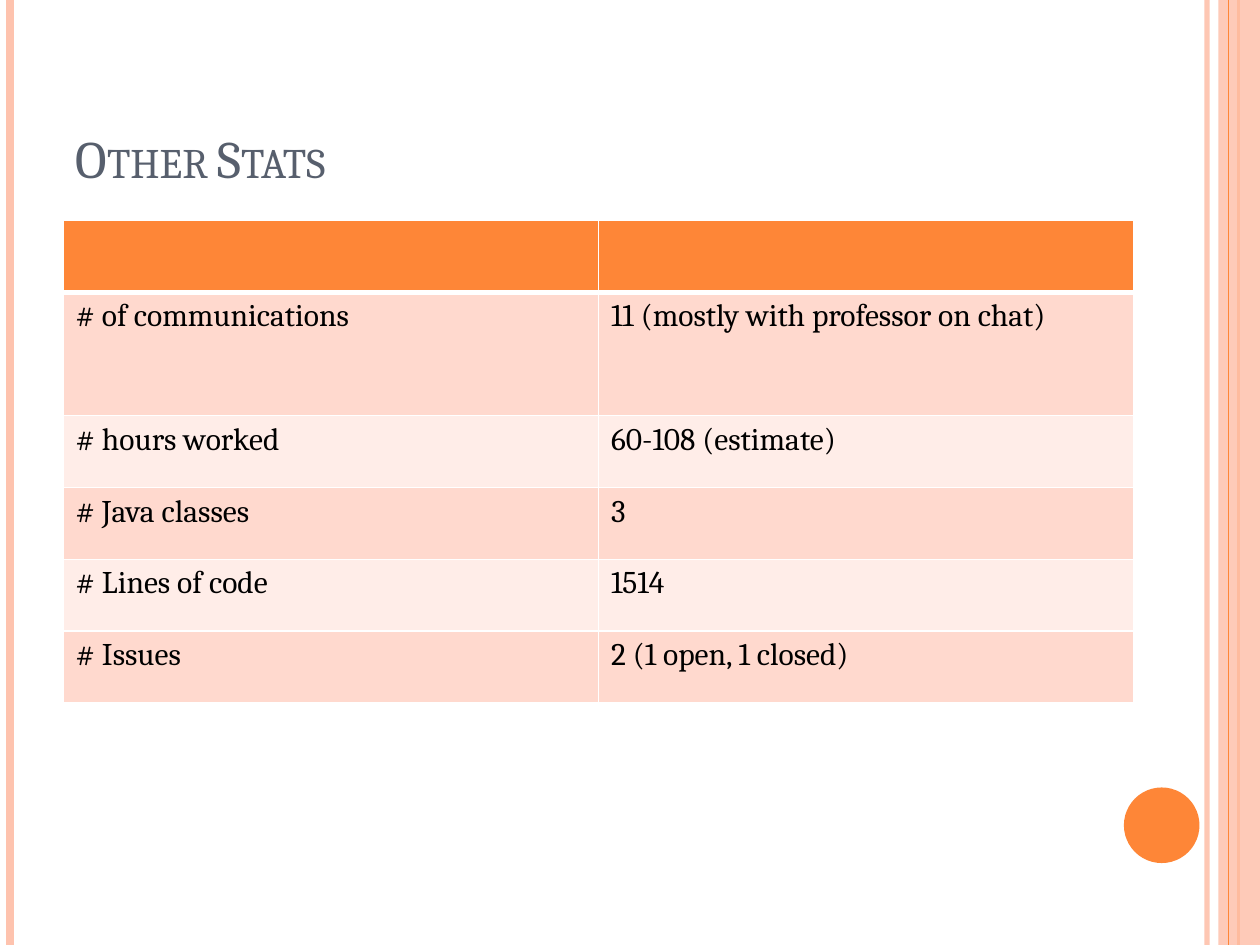
from lxml import etree
from pptx import Presentation
from pptx.dml.color import RGBColor
from pptx.enum.shapes import MSO_CONNECTOR as Connector, MSO_SHAPE as Shape
from pptx.enum.text import MSO_ANCHOR as Anchor, PP_ALIGN as Align
from pptx.oxml.ns import qn
from pptx.util import Inches, Pt

FONT = "Cambria"
ORANGE = "FE8637"
PEACH = "FEC3AE"
WHITE = "FFFFFF"
BANDS = ("FFD9CE", "FFEDE8")
STATS = [
    ("# of communications", "11 (mostly with professor on chat)"),
    ("# hours worked", "60-108 (estimate)"),
    ("# Java classes", "3"),
    ("# Lines of code", "1514"),
    ("# Issues", "2 (1 open, 1 closed)"),
]
ROW_HEIGHTS = (0.57, 0.98, 0.57, 0.57, 0.57, 0.57)


def rgb(value):
    return RGBColor.from_string(value)


def set_opacity(element, percent):
    color = next(element.iter(qn("a:srgbClr")))
    etree.SubElement(color, qn("a:alpha"), val=str(percent * 1000))


def style_run(run, size, color):
    run.font.name = FONT
    run.font.size = Pt(size)
    run.font.color.rgb = rgb(color)


def add_stripe(slide, x, color, width, opacity=100):
    stripe = slide.shapes.add_connector(
        Connector.STRAIGHT, Inches(x), Inches(0), Inches(x), Inches(7.5))
    stripe.line.color.rgb = rgb(color)
    stripe.line.width = Pt(width)
    properties = stripe._element.spPr
    if opacity < 100:
        set_opacity(properties, opacity)
    etree.SubElement(properties, qn("a:effectLst"))


def add_filled(slide, kind, left, top, width, height, color, opacity=100):
    shape = slide.shapes.add_shape(
        kind, Inches(left), Inches(top), Inches(width), Inches(height))
    shape.shadow.inherit = False
    shape.fill.solid()
    shape.fill.fore_color.rgb = rgb(color)
    shape.line.fill.background()
    if opacity < 100:
        set_opacity(shape._element.spPr, opacity)


def add_title(slide, text):
    title = slide.shapes.title
    title.left, title.top = Inches(0.5), Inches(0.3)
    title.width, title.height = Inches(8.17), Inches(1.25)
    text_frame = title.text_frame
    text_frame.text = text
    text_frame.vertical_anchor = Anchor.BOTTOM
    paragraph = text_frame.paragraphs[0]
    paragraph.alignment = Align.LEFT
    run = paragraph.runs[0]
    style_run(run, 30, "575F6D")
    run._r.get_or_add_rPr().set("cap", "small")


def set_borders(cell, top, bottom):
    properties = cell._tc.get_or_add_tcPr()
    sides = (("a:lnL", 1), ("a:lnR", 1), ("a:lnT", top), ("a:lnB", bottom))
    for index, (side, width) in enumerate(sides):
        line = etree.Element(qn(side), w=str(Pt(width)))
        fill = etree.SubElement(line, qn("a:solidFill"))
        etree.SubElement(fill, qn("a:srgbClr"), val=WHITE)
        properties.insert(index, line)


def format_cell(cell, text, fill, top, bottom):
    cell.text = text
    for run in cell.text_frame.paragraphs[0].runs:
        style_run(run, 18, "000000")
    cell.fill.solid()
    cell.fill.fore_color.rgb = rgb(fill)
    set_borders(cell, top, bottom)


def add_stats_table(slide):
    rows = [("", "")] + STATS
    table = slide.shapes.add_table(
        len(rows), 2, Inches(0.5), Inches(1.75),
        Inches(8.5), Inches(sum(ROW_HEIGHTS))).table
    for row_index, (values, height) in enumerate(zip(rows, ROW_HEIGHTS)):
        table.rows[row_index].height = Inches(height)
        fill = BANDS[(row_index - 1) % 2] if row_index else ORANGE
        top = 3 if row_index == 1 else 1
        bottom = 3 if row_index == 0 else 1
        for column_index, text in enumerate(values):
            format_cell(table.cell(row_index, column_index), text, fill, top, bottom)


def main():
    presentation = Presentation()
    presentation.slide_width = Inches(10)
    presentation.slide_height = Inches(7.5)
    slide = presentation.slides.add_slide(presentation.slide_layouts[5])
    add_stripe(slide, 9.58, PEACH, 3, 93)
    add_stripe(slide, 0.08, PEACH, 4.5)
    add_stripe(slide, 9.83, ORANGE, 1.5)
    add_filled(slide, Shape.RECTANGLE, 9.67, 0, 0.33, 7.5, PEACH, 87)
    add_stripe(slide, 9.75, ORANGE, 0.75)
    add_filled(slide, Shape.OVAL, 8.92, 6.25, 0.6, 0.6, ORANGE)
    add_title(slide, "Other Stats")
    add_stats_table(slide)
    presentation.save("out.pptx")


if __name__ == "__main__":
    main()
